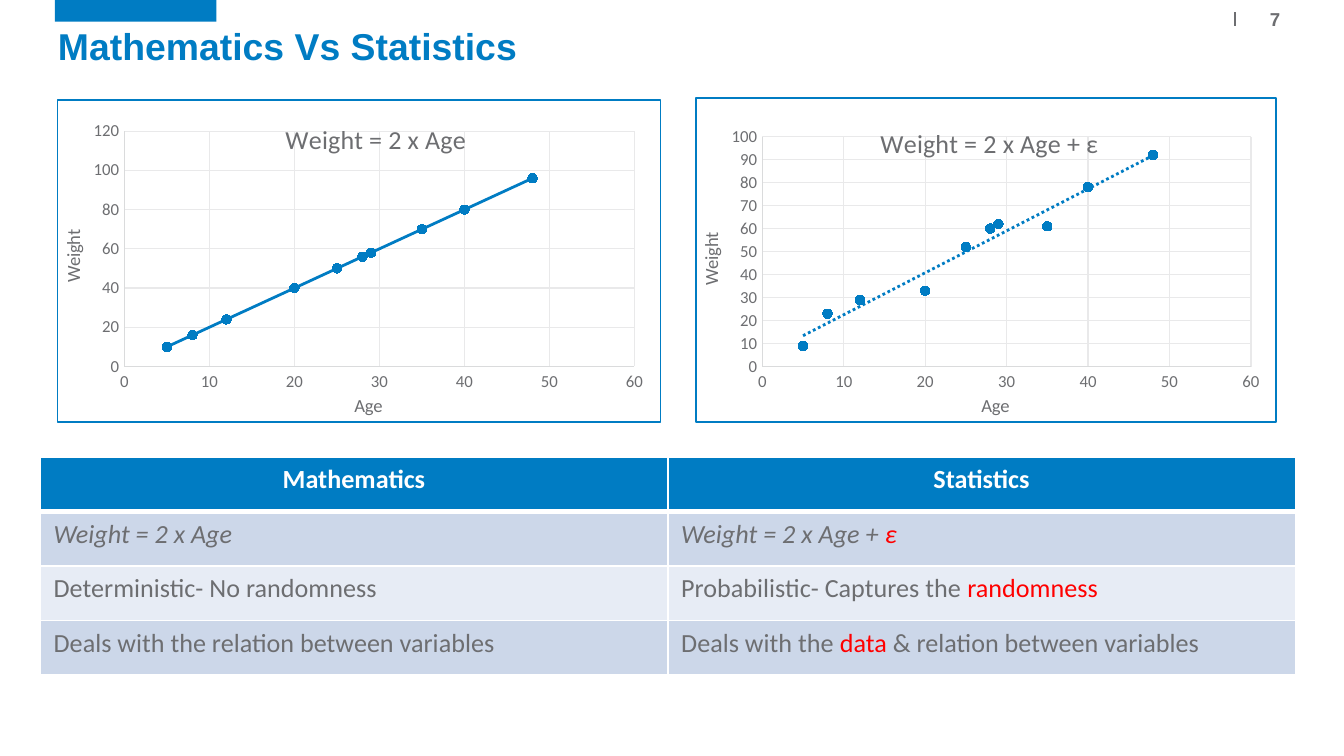
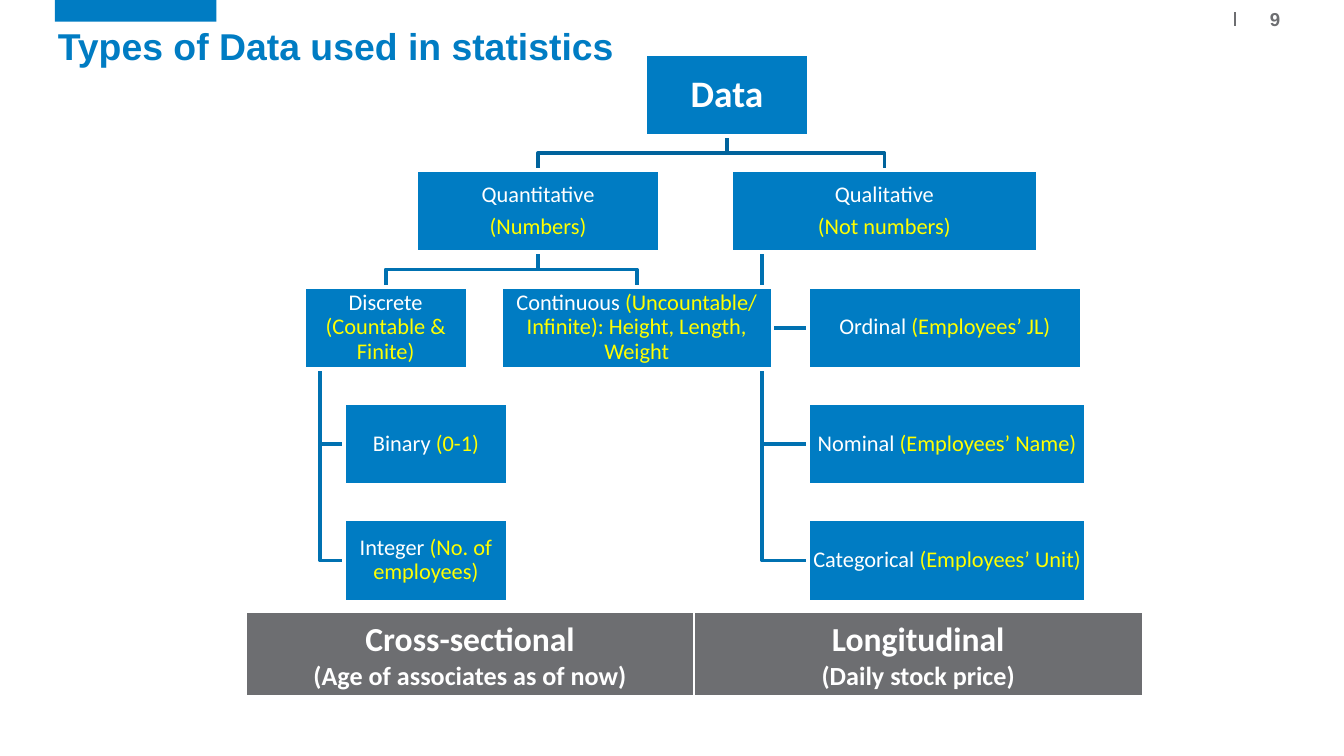
import pptx
import pptx.chart.data
import pptx.dml.color
import pptx.enum.chart
import pptx.enum.dml
import pptx.enum.shapes
import pptx.enum.text
import pptx.oxml
import pptx.oxml.ns
import pptx.util
from lxml import etree

Cm, Pt = pptx.util.Cm, pptx.util.Pt
RGBColor = pptx.dml.color.RGBColor
ALIGN = pptx.enum.text.PP_ALIGN
ANCHOR = pptx.enum.text.MSO_ANCHOR
CHART = pptx.enum.chart.XL_CHART_TYPE
qn = pptx.oxml.ns.qn

BLUE = RGBColor(0x00, 0x7C, 0xC3)
GREY = RGBColor(0x6D, 0x6E, 0x71)
WHITE = RGBColor(0xFF, 0xFF, 0xFF)
RED = RGBColor(0xFF, 0x00, 0x00)
YELLOW = RGBColor(0xFF, 0xFF, 0x00)
BAND_DARK = RGBColor(0xCC, 0xD7, 0xE9)
BAND_LIGHT = RGBColor(0xE7, 0xEC, 0xF5)
AXIS = RGBColor(0xDA, 0xDB, 0xDC)
GRID = RGBColor(0xE9, 0xE9, 0xEA)
ROOT_BRANCH = RGBColor(0x00, 0x63, 0x9C)
BRANCH = RGBColor(0x00, 0x71, 0xB1)
HEADING_FONT, BODY_FONT = "Arial", "Calibri"

# Content: in a tuple of runs, every second run is highlighted
AGES = [5, 8, 12, 20, 25, 28, 29, 35, 40, 48]
PLOTS = [
    dict(title="Weight = 2 x Age", kind=CHART.XY_SCATTER_LINES, trend=False,
         weights=[10, 16, 24, 40, 50, 56, 58, 70, 80, 96], top=120, step=20,
         at=(1.07, 1.88, 11.43, 6.12), title_at=(0.37, 0.05),
         plot_at=(0.111, 0.096, 0.846, 0.731)),
    dict(title="Weight = 2 x Age + ε", kind=CHART.XY_SCATTER, trend=True,
         weights=[9, 23, 29, 33, 52, 60, 62, 61, 78, 92], top=100, step=10,
         at=(13.13, 1.83, 11, 6.17), title_at=(0.31, 0.07),
         plot_at=(0.115, 0.12, 0.842, 0.709)),
]
COMPARISON = [
    [("Mathematics",), ("Statistics",)],
    [("Weight = 2 x Age",), ("Weight = 2 x Age + ", "ε")],
    [("Deterministic- No randomness",), ("Probabilistic- Captures the ", "randomness")],
    [("Deals with the relation between variables",),
     ("Deals with the ", "data", " & relation between variables")],
]
# Name: (parent, branch style, level, left, width, paragraphs)
DATA_TYPES = {
    "data": (None, None, 0, 12.19, 3.1, [("Data",)]),
    "quantitative": ("data", "fork", 1, 7.87, 4.6, [("Quantitative",), ("", "(Numbers)")]),
    "qualitative": ("data", "fork", 1, 13.82, 5.79, [("Qualitative",), ("", "(Not numbers)")]),
    "discrete": ("quantitative", "fork", 2, 5.74, 3.1, [("Discrete ", "(Countable & Finite)")]),
    "binary": ("discrete", "hang", 3, 6.5, 3.1, [("Binary ", "(0-1)")]),
    "integer": ("discrete", "hang", 4, 6.5, 3.1, [("Integer ", "(No. of employees)")]),
    "continuous": ("quantitative", "fork", 2, 9.47, 5.13,
                   [("Continuous ", "(Uncountable/ Infinite): Height, Length, Weight")]),
    "ordinal": ("qualitative", "hang", 2, 15.27, 5.18, [("Ordinal ", "(Employees’ JL)")]),
    "nominal": ("qualitative", "hang", 3, 15.27, 5.26, [("Nominal ", "(Employees’ Name)")]),
    "categorical": ("qualitative", "hang", 4, 15.27, 5.26,
                    [("Categorical ", "(Employees’ Unit)")]),
}
TIME_FRAMES = [("Cross-sectional", "(Age of associates as of now)"),
               ("Longitudinal", "(Daily stock price)")]

LEVEL_TOP, LEVEL_STEP, NODE_HEIGHT = 1.02, 2.2, 1.55


def place(at):
    return [Cm(length) for length in at]


# Text
def write(paragraph, runs, size, color, accent=None, bold=False, italic=False,
          align=ALIGN.LEFT, font=BODY_FONT):
    paragraph.alignment = align
    paragraph.font.name, paragraph.font.size = font, Pt(size)
    paragraph.font.bold, paragraph.font.italic = bold, italic
    for index, words in enumerate(runs):
        if words:
            run = paragraph.add_run()
            run.text = words
            run.font.color.rgb = accent if index % 2 else color


def paragraphs_of(frame, count):
    return [frame.paragraphs[0]] + [frame.add_paragraph() for _ in range(count - 1)]


def set_margins(frame, size):
    frame.margin_left = frame.margin_right = Cm(size)
    frame.margin_top = frame.margin_bottom = Cm(size)


# Shared slide parts
def new_slide(deck, heading, number):
    slide = deck.slides.add_slide(deck.slide_layouts[5])
    band = slide.shapes.add_shape(pptx.enum.shapes.MSO_SHAPE.RECTANGLE,
                                  *place((1.04, 0, 3.05, 0.41)))
    band.shadow.inherit = False
    band.fill.solid()
    band.fill.fore_color.rgb = BLUE
    band.line.fill.background()

    divider = slide.shapes.add_connector(pptx.enum.shapes.MSO_CONNECTOR.STRAIGHT,
                                         *place((23.34, 0.23, 23.34, 0.5)))
    divider.line.color.rgb, divider.line.width = GREY, Pt(1)
    etree.SubElement(divider._element.spPr, qn("a:effectLst"))

    title = slide.shapes.title
    title.left, title.top, title.width, title.height = place((0.84, 0.41, 23.93, 1.02))
    frame = title.text_frame
    frame.auto_size = pptx.enum.text.MSO_AUTO_SIZE.NONE
    frame.vertical_anchor = ANCHOR.BOTTOM
    frame.paragraphs[0].line_spacing = 0.9
    write(frame.paragraphs[0], (heading,), 20, BLUE, bold=True, font=HEADING_FONT)

    page = slide.shapes.add_textbox(*place((23.83, 0.1, 0.53, 0.53))).text_frame
    page.word_wrap = False
    page.vertical_anchor = ANCHOR.MIDDLE
    set_margins(page, 0.05)
    write(page.paragraphs[0], (str(number),), 10, GREY, bold=True,
          align=ALIGN.CENTER, font=HEADING_FONT)
    return slide


# Tables
def add_plain_table(slide, rows, columns, at):
    table = slide.shapes.add_table(rows, columns, *place(at)).table
    for row in table.rows:
        row.height = Cm(at[3] / rows)
    return table


def style_cell(cell, fill, bottom=1):
    cell.fill.solid()
    cell.fill.fore_color.rgb = fill
    properties = cell._tc.get_or_add_tcPr()
    for index, (side, width) in enumerate(zip("LRTB", (1, 1, 1, bottom))):
        border = pptx.oxml.parse_xml(
            f'<a:ln{side} {pptx.oxml.ns.nsdecls("a")} w="{Pt(width)}">'
            f'<a:solidFill><a:srgbClr val="{WHITE}"/></a:solidFill></a:ln{side}>')
        properties.insert(index, border)


# Charts
def chart_xml(body):
    return pptx.oxml.parse_xml(body.replace(">", f' {pptx.oxml.ns.nsdecls("c", "a")}>', 1))


def set_layout(parent, index, values, inner=False):
    for old in parent.findall(qn("c:layout")):
        parent.remove(old)
    target = '<c:layoutTarget val="inner"/>' if inner else ""
    modes = "".join(f'<c:{axis}Mode val="edge"/>' for axis in "xy")
    sizes = "".join(f'<c:{name} val="{value}"/>' for name, value in zip("xywh", values))
    parent.insert(index, chart_xml(
        f"<c:layout><c:manualLayout>{target}{modes}{sizes}</c:manualLayout></c:layout>"))


def style_line(line, color, width):
    line.color.rgb, line.width = color, Pt(width)


def style_axis(axis, name, top, step):
    axis.minimum_scale, axis.maximum_scale, axis.major_unit = 0, top, step
    axis.has_major_gridlines = True
    axis.major_tick_mark = axis.minor_tick_mark = pptx.enum.chart.XL_TICK_MARK.NONE
    style_line(axis.format.line, AXIS, 0.75)
    style_line(axis.major_gridlines.format.line, GRID, 0.75)
    labels = axis.tick_labels.font
    labels.name, labels.size, labels.color.rgb = BODY_FONT, Pt(9), GREY
    write(axis.axis_title.text_frame.paragraphs[0], (name,), 10, GREY, align=ALIGN.CENTER)


def add_scatter(slide, plot):
    points = pptx.chart.data.XyChartData()
    people = points.add_series("Series 1")
    for age, weight in zip(AGES, plot["weights"]):
        people.add_data_point(age, weight)
    chart = slide.shapes.add_chart(plot["kind"], *place(plot["at"]), points).chart
    chart.has_legend = False
    chart.font.name, chart.font.size, chart.font.color.rgb = BODY_FONT, Pt(10), GREY
    chart.plots[0].vary_by_categories = False
    style_axis(chart.category_axis, "Age", 60, 10)
    style_axis(chart.value_axis, "Weight", plot["top"], plot["step"])

    chart.has_title = True
    write(chart.chart_title.text_frame.paragraphs[0], (plot["title"],), 14, GREY,
          align=ALIGN.CENTER)
    set_layout(chart.chart_title._element, 1, plot["title_at"])
    space = chart._chartSpace
    set_layout(space.find(".//" + qn("c:plotArea")), 0, plot["plot_at"], inner=True)
    space.find(qn("c:chart")).addnext(chart_xml(
        f'<c:spPr><a:solidFill><a:srgbClr val="{WHITE}"/></a:solidFill><a:ln w="{Pt(1)}">'
        f'<a:solidFill><a:srgbClr val="{BLUE}"/></a:solidFill></a:ln></c:spPr>'))

    series = chart.plots[0].series[0]
    series.smooth = False
    marker = series.marker
    marker.style, marker.size = pptx.enum.chart.XL_MARKER_STYLE.CIRCLE, 5
    marker.format.fill.solid()
    marker.format.fill.fore_color.rgb = BLUE
    marker.format.line.color.rgb = BLUE
    if plot["trend"]:
        series.format.line.fill.background()
        series._element.find(qn("c:xVal")).addprevious(chart_xml(
            f'<c:trendline><c:spPr><a:ln w="{Pt(1.5)}"><a:solidFill><a:srgbClr val="{BLUE}"/>'
            '</a:solidFill><a:prstDash val="sysDot"/></a:ln></c:spPr>'
            '<c:trendlineType val="linear"/><c:dispRSqr val="0"/><c:dispEq val="0"/>'
            '</c:trendline>'))
    else:
        style_line(series.format.line, BLUE, 1.5)


# Tree of data types
def node_top(level):
    return LEVEL_TOP + LEVEL_STEP * level


def add_branch(slide, parent, child):
    _, _, parent_level, parent_left, parent_width, _ = DATA_TYPES[parent]
    _, style, level, left, width, _ = DATA_TYPES[child]
    start = node_top(parent_level) + NODE_HEIGHT
    end = node_top(level)
    if style == "fork":
        x, child_x, middle = parent_left + parent_width / 2, left + width / 2, (start + end) / 2
        corners = [(x, start), (x, middle), (child_x, middle), (child_x, end)]
    else:
        x, middle = parent_left + parent_width / 10, end + NODE_HEIGHT / 2
        corners = [(x, start), (x, middle), (left, middle)]
    first, *others = [place(corner) for corner in corners]
    builder = slide.shapes.build_freeform(*first)
    builder.add_line_segments(others, close=False)
    branch = builder.convert_to_shape()
    branch.shadow.inherit = False
    branch.fill.background()
    style_line(branch.line, ROOT_BRANCH if parent == "data" else BRANCH, 2)


def add_node(slide, level, left, width, texts):
    node = slide.shapes.add_shape(pptx.enum.shapes.MSO_SHAPE.RECTANGLE,
                                  *place((left, node_top(level), width, NODE_HEIGHT)))
    node.shadow.inherit = False
    node.fill.solid()
    node.fill.fore_color.rgb = BLUE
    style_line(node.line, WHITE, 2)
    frame = node.text_frame
    frame.word_wrap = True
    frame.vertical_anchor = ANCHOR.MIDDLE
    set_margins(frame, 0.02)
    size = 12 if level else 20
    for paragraph, runs in zip(paragraphs_of(frame, len(texts)), texts):
        paragraph.line_spacing, paragraph.space_after = 0.9, Pt(size * 0.35)
        write(paragraph, runs, size, WHITE, YELLOW, bold=level == 0, align=ALIGN.CENTER)


# Slides
def build_comparison(deck):
    slide = new_slide(deck, "Mathematics Vs Statistics", 7)
    table = add_plain_table(slide, len(COMPARISON), 2, (0.76, 8.64, 23.72, 4.12))
    for r, row in enumerate(COMPARISON):
        header = r == 0
        fill = BLUE if header else (BAND_DARK if r % 2 else BAND_LIGHT)
        for c, runs in enumerate(row):
            cell = table.cell(r, c)
            style_cell(cell, fill, bottom=3 if header else 1)
            write(cell.text_frame.paragraphs[0], runs, 14, WHITE if header else GREY, RED,
                  bold=header, italic=r == 1, align=ALIGN.CENTER if header else ALIGN.LEFT)
    for plot in PLOTS:
        add_scatter(slide, plot)


def build_data_types(deck):
    slide = new_slide(deck, "Types of Data used in statistics", 9)
    for name, (parent, *_) in DATA_TYPES.items():
        if parent:
            add_branch(slide, parent, name)
    for _, _, *node in DATA_TYPES.values():
        add_node(slide, *node)
    table = add_plain_table(slide, 1, 2, (4.65, 11.58, 16.94, 1.6))
    for c, lines in enumerate(TIME_FRAMES):
        cell = table.cell(0, c)
        style_cell(cell, GREY, bottom=3)
        for paragraph, line, size in zip(paragraphs_of(cell.text_frame, 2), lines, (18, 14)):
            write(paragraph, (line,), size, WHITE, bold=True, align=ALIGN.CENTER)


def main():
    deck = pptx.Presentation()
    deck.slide_width, deck.slide_height = Cm(25.4), Cm(14.29)
    build_comparison(deck)
    build_data_types(deck)
    deck.save("out.pptx")


if __name__ == "__main__":
    main()
